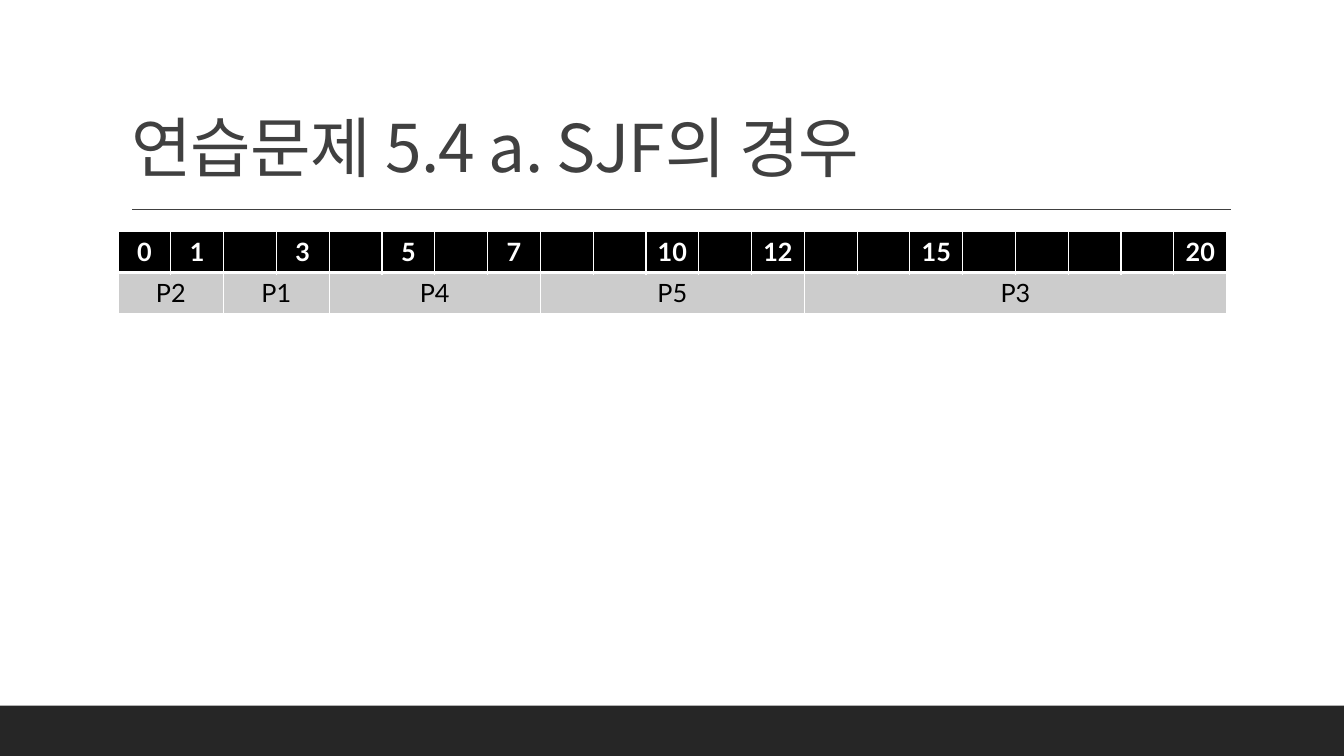
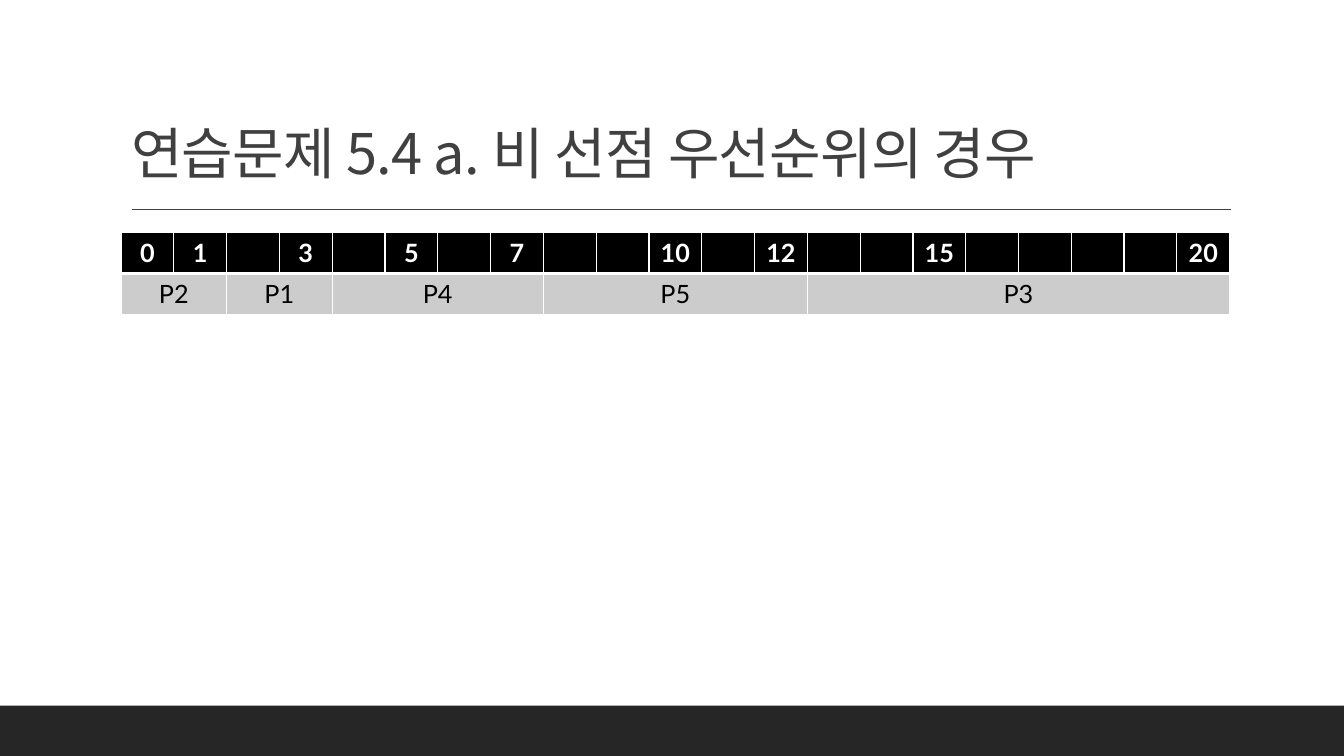
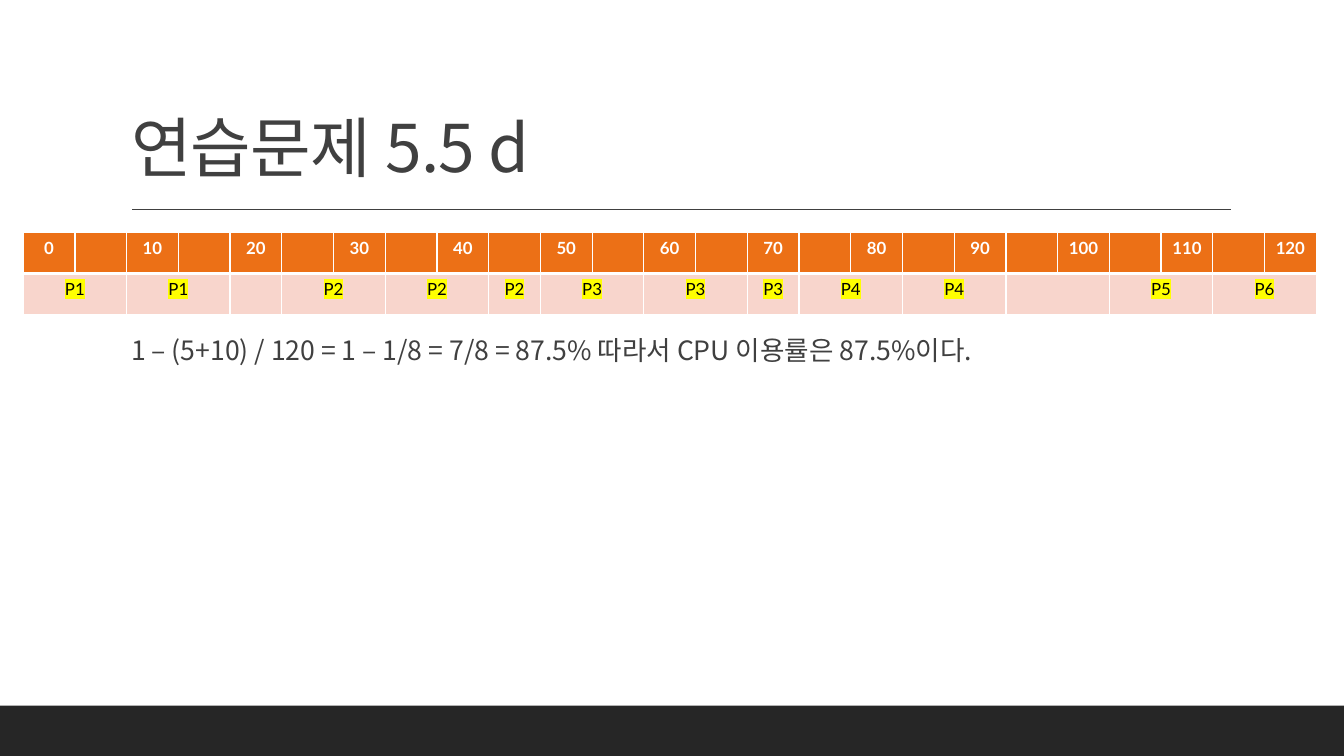
from dataclasses import dataclass

from lxml import etree
from pptx import Presentation
from pptx.dml.color import RGBColor
from pptx.enum import shapes, text
from pptx.oxml.ns import qn
from pptx.util import Inches, Pt


@dataclass(frozen=True)
class Theme:
    title_font: str = "Noto Sans CJK KR"
    table_font: str = "Lato"
    ink: str = "404040"
    band: str = "262626"
    white: str = "FFFFFF"
    black: str = "000000"
    marker: str = "FFFF00"
    title_size: float = 47
    long_title_size: float = 40
    body_size: float = 19


@dataclass(frozen=True)
class ChartStyle:
    header_fill: str
    process_fill: str
    size: float
    highlight: str = ""


THEME = Theme()
MONO = ChartStyle("000000", "CCCCCC", 18)
ORANGE = ChartStyle("EC7016", "F8D5CC", 12, THEME.marker)

SHORT_TICKS = (0, 1, 3, 5, 7, 10, 12, 15, 20)
SHORT_HEADER = [str(time) if time in SHORT_TICKS else "" for time in range(21)]
SHORT_PROCESSES = [("P2", 2), ("P1", 2), ("P4", 4), ("P5", 5), ("P3", 8)]

LONG_HEADER = ["" if time % 10 else str(time) for time in range(0, 125, 5)]
LONG_PROCESSES = [
    ("P1", 2), ("P1", 2), ("", 1), ("P2", 2), ("P2", 2), ("P2", 1), ("P3", 2),
    ("P3", 2), ("P3", 1), ("P4", 2), ("P4", 2), ("", 2), ("P5", 2), ("P6", 2),
]


def color(value):
    return RGBColor.from_string(value)


def set_font(paragraph, name, size, ink, bold=False, spacing=0, highlight=""):
    """Format a whole paragraph, East Asian letters included."""
    font = paragraph.font
    font.name, font.size, font.bold = name, Pt(size), bold
    font.color.rgb = color(ink)
    properties = paragraph._p.pPr.find(qn("a:defRPr"))
    east_asian = etree.Element(qn("a:ea"), typeface=name)
    properties.find(qn("a:latin")).addnext(east_asian)
    if spacing:
        properties.set("spc", str(round(spacing * 100)))
    if highlight:
        mark = etree.Element(qn("a:highlight"))
        etree.SubElement(mark, qn("a:srgbClr"), val=highlight)
        properties.find(qn("a:solidFill")).addnext(mark)


def place(shape, left, top, width, height):
    shape.left, shape.top = Inches(left), Inches(top)
    shape.width, shape.height = Inches(width), Inches(height)


def decorate_master(presentation, slide):
    """Draw the band and the title rule, then move them to the master."""
    band = slide.shapes.add_shape(
        shapes.MSO_SHAPE.RECTANGLE, 0, Inches(7), presentation.slide_width, Inches(0.5))
    band.shadow.inherit = False
    band.fill.solid()
    band.fill.fore_color.rgb = color(THEME.band)
    band.line.fill.background()

    rule = slide.shapes.add_connector(
        shapes.MSO_CONNECTOR.STRAIGHT,
        Inches(1.31), Inches(2.08), Inches(12.21), Inches(2.08))
    rule.line.color.rgb = color(THEME.ink)
    rule.line.width = Pt(1)
    etree.SubElement(rule.element.spPr, qn("a:effectLst"))

    for shape in (band, rule):
        presentation.slide_master.element.cSld.spTree.append(shape.element)


def add_title(slide, wording, size):
    title = slide.shapes.title
    place(title, 1.2, 0.31, 11, 1.59)
    frame = title.text_frame
    frame.text = wording
    frame.auto_size = text.MSO_AUTO_SIZE.NONE
    frame.vertical_anchor = text.MSO_ANCHOR.BOTTOM
    paragraph = frame.paragraphs[0]
    paragraph.alignment = text.PP_ALIGN.LEFT
    paragraph.line_spacing = 0.9
    set_font(paragraph, THEME.title_font, size, THEME.ink, spacing=-0.5)


def add_body(slide, wording):
    body = slide.placeholders[1]
    place(body, 1.2, 3.23, 11, 3.19)
    frame = body.text_frame
    frame.text = wording
    frame.auto_size = text.MSO_AUTO_SIZE.NONE
    frame.margin_left = frame.margin_right = 0
    paragraph = frame.paragraphs[0]
    paragraph.line_spacing = 1.1
    paragraph.space_before, paragraph.space_after = Pt(12), Pt(2)
    set_font(paragraph, THEME.title_font, THEME.body_size, THEME.ink)
    properties = paragraph._p.pPr
    properties.set("marL", str(Inches(0.1)))
    properties.set("indent", "0")
    properties.find(qn("a:defRPr")).addprevious(etree.Element(qn("a:buNone")))


def set_borders(cell, widths):
    properties = cell._tc.get_or_add_tcPr()
    for side, width in widths.items():
        line = etree.SubElement(properties, qn(f"a:ln{side}"), w=str(Pt(width)))
        fill = etree.SubElement(line, qn("a:solidFill"))
        etree.SubElement(fill, qn("a:srgbClr"), val=THEME.white)


def format_cell(cell, fill, borders):
    set_borders(cell, borders)
    cell.fill.solid()
    cell.fill.fore_color.rgb = color(fill)


def write_cell(cell, wording, style, ink, bold=False, highlight=""):
    cell.text = wording
    paragraph = cell.text_frame.paragraphs[0]
    paragraph.alignment = text.PP_ALIGN.CENTER
    set_font(paragraph, THEME.table_font, style.size, ink, bold, highlight=highlight)


def add_gantt(slide, left, top, width, header, processes, style):
    """Add a row of times above a row of processes, each (name, columns)."""
    table = slide.shapes.add_table(
        2, len(header), Inches(left), Inches(top), Inches(width), Inches(0.81)).table
    for column, time in enumerate(header):
        table.columns[column].width = Inches(width / len(header))
        time_cell, process_cell = table.cell(0, column), table.cell(1, column)
        format_cell(time_cell, style.header_fill, {"L": 1, "R": 1, "T": 1, "B": 3})
        format_cell(process_cell, style.process_fill, {"L": 1, "R": 1, "B": 1})
        write_cell(time_cell, time, style, THEME.white, bold=True)

    start = 0
    for name, span in processes:
        cell = table.cell(1, start)
        if span > 1:
            cell.merge(table.cell(1, start + span - 1))
        write_cell(cell, name, style, THEME.black, highlight=style.highlight)
        start += span


def main():
    presentation = Presentation()
    presentation.slide_width, presentation.slide_height = Inches(13.33), Inches(7.5)
    title_and_body, title_only = (presentation.slide_layouts[index] for index in (1, 5))

    shortest_job = presentation.slides.add_slide(title_only)
    decorate_master(presentation, shortest_job)
    add_title(shortest_job, "연습문제 5.4 a. SJF의 경우", THEME.title_size)
    add_gantt(shortest_job, 1.17, 2.3, 11, SHORT_HEADER, SHORT_PROCESSES, MONO)

    priority = presentation.slides.add_slide(title_only)
    add_title(priority, "연습문제 5.4 a. 비 선점 우선순위의 경우", THEME.long_title_size)
    add_gantt(priority, 1.2, 2.31, 11, SHORT_HEADER, SHORT_PROCESSES, MONO)

    utilization = presentation.slides.add_slide(title_and_body)
    add_title(utilization, "연습문제 5.5 d", THEME.title_size)
    add_body(utilization,
             "1 – (5+10) / 120 = 1 – 1/8 = 7/8 = 87.5% 따라서 CPU 이용률은 87.5%이다.")
    add_gantt(utilization, 0.23, 2.31, 12.83, LONG_HEADER, LONG_PROCESSES, ORANGE)

    presentation.save("out.pptx")


if __name__ == "__main__":
    main()
